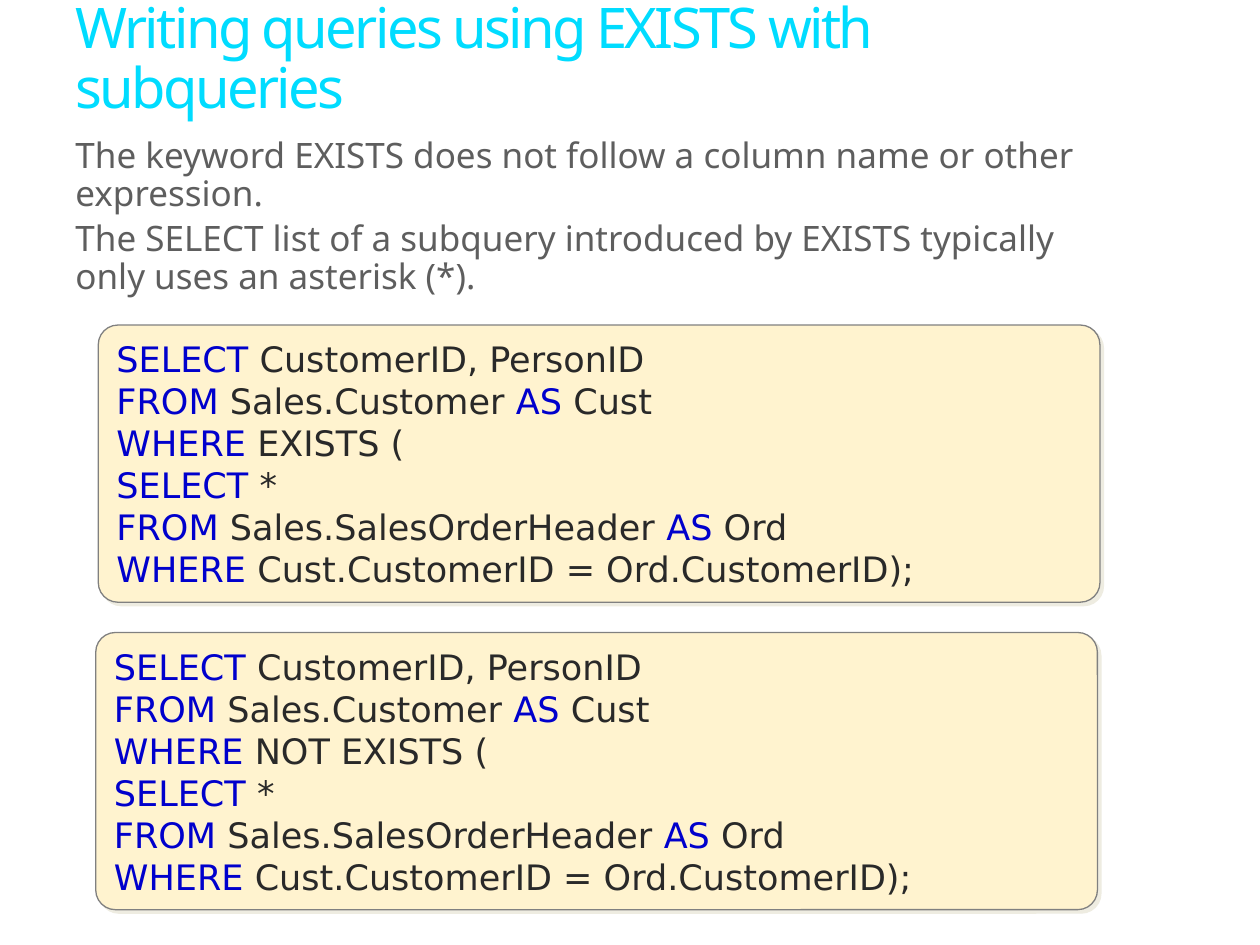
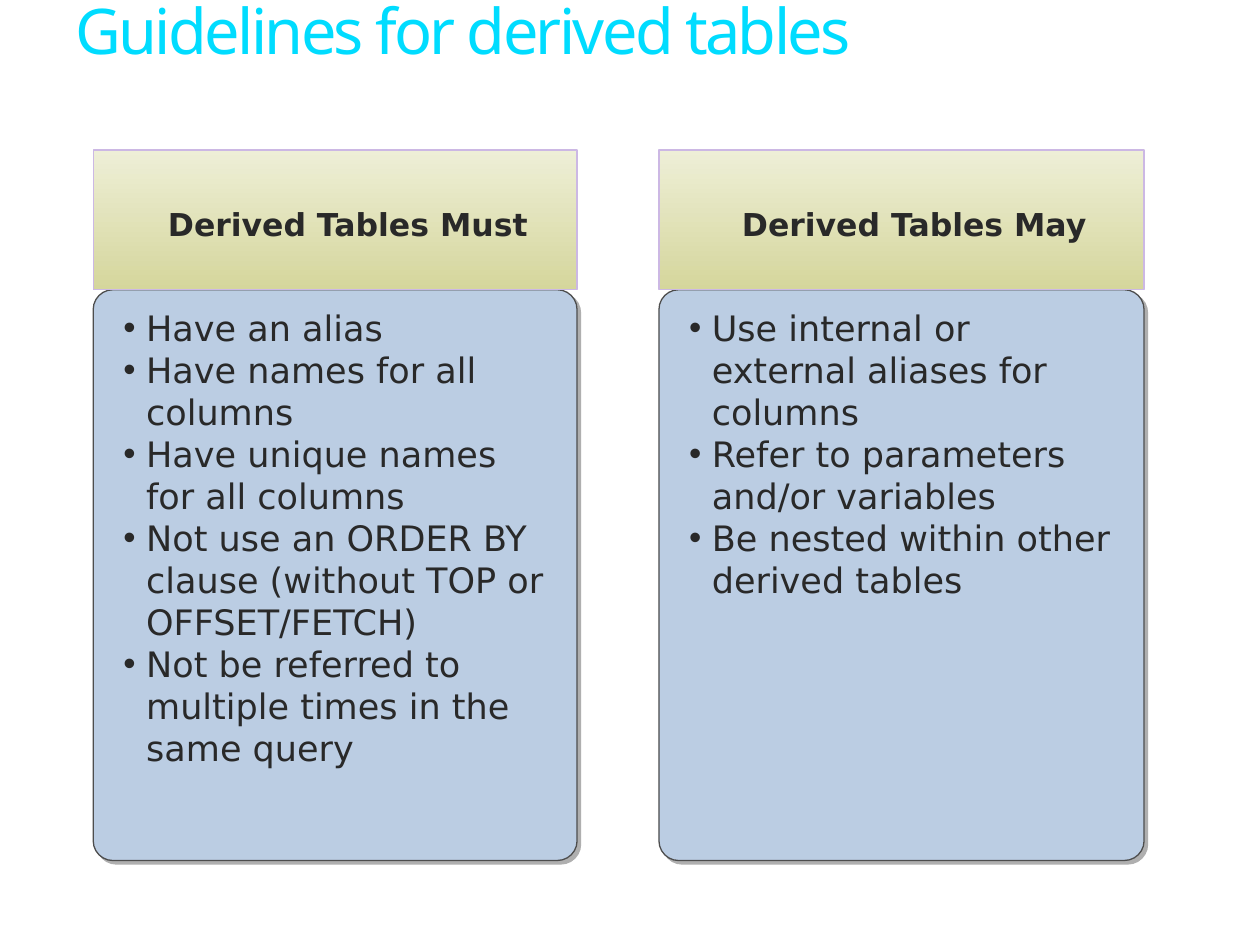
from dataclasses import dataclass

from lxml import etree
from pptx import Presentation
from pptx import util as u
from pptx.dml.color import RGBColor
from pptx.enum import shapes, text
from pptx.oxml import ns


@dataclass(frozen=True)
class Theme:
    heading_font: str = "Noto Sans"
    body_font: str = "DejaVu Sans"
    title: str = "00DCFF"
    body: str = "5E5E5E"
    ink: str = "292929"
    keyword: str = "0000CC"
    code_fill: str = "FFF3CF"
    code_line: str = "808080"
    code_shadow: str = "EEECE1"
    panel_fill: str = "BBCDE3"
    panel_line: str = "4D4D4D"
    panel_shadow: str = "AFAFAF"
    header_top: str = "EEEFD7"
    header_bottom: str = "D5D69C"
    header_line: str = "CCB8E4"
    text_size: int = 20
    header_size: int = 18


T = Theme()
KEYWORDS = {"SELECT", "FROM", "WHERE", "AS"}
RADIUS = 0.156  # corner radius of every rounded box, inches

QUERY = """SELECT CustomerID, PersonID
FROM Sales.Customer AS Cust
WHERE {test} (
SELECT *
FROM Sales.SalesOrderHeader AS Ord
WHERE Cust.CustomerID = Ord.CustomerID);"""


def rgb(color):
    return RGBColor.from_string(color)


def write(sp, paragraphs, size=T.text_size, font=T.body_font, color=T.ink,
          bold=False, align=text.PP_ALIGN.LEFT, anchor=text.MSO_ANCHOR.TOP,
          insets=(0.1, 0.05, 0.1, 0.05), line=None, before=None,
          tracking=None, bullet=None, hang=0.18):
    """Fill a shape; a paragraph is a string or a list of (text, color) runs."""
    tf = sp.text_frame
    tf.word_wrap = True
    tf.vertical_anchor = anchor
    (tf.margin_left, tf.margin_top,
     tf.margin_right, tf.margin_bottom) = map(u.Inches, insets)
    for i, runs in enumerate(paragraphs):
        p = tf.add_paragraph() if i else tf.paragraphs[0]
        p.alignment = align
        if line:
            p.line_spacing = line
        if before:
            p.space_before = u.Pt(before)
        if bullet:
            ppr = p._p.get_or_add_pPr()
            ppr.set("marL", str(u.Inches(hang)))
            ppr.set("indent", str(-u.Inches(hang)))
            etree.SubElement(ppr, ns.qn("a:buFont")).set("typeface", "Arial")
            etree.SubElement(ppr, ns.qn("a:buChar")).set("char", bullet)
        for words, tint in [(runs, color)] if isinstance(runs, str) else runs:
            r = p.add_run()
            r.text = words
            r.font.size, r.font.name, r.font.bold = u.Pt(size), font, bold
            r.font.color.rgb = rgb(tint)
            if tracking:
                r._r.get_or_add_rPr().set("spc", str(int(tracking * 100)))


def textbox(parent, box, paragraphs, **fmt):
    sp = parent.add_textbox(*map(u.Inches, box))
    write(sp, paragraphs, **fmt)


def shape(parent, kind, box, line):
    sp = parent.add_shape(kind, *map(u.Inches, box))
    sp.shadow.inherit = False
    sp.line.color.rgb = rgb(line)
    sp.line.width = u.Pt(0.75)
    return sp


def rounded_box(parent, box, fill, line, shadow):
    sp = shape(parent, shapes.MSO_SHAPE.ROUNDED_RECTANGLE, box, line)
    sp.adjustments[0] = RADIUS / min(box[2:])
    sp.fill.solid()
    sp.fill.fore_color.rgb = rgb(fill)
    # Hard shadow, down and to the right
    effects = sp._element.spPr.find(ns.qn("a:effectLst"))
    outer = etree.SubElement(effects, ns.qn("a:outerShdw"), blurRad="0",
                             dist=str(u.Pt(2.8)), dir=str(45 * 60000),
                             algn="ctr", rotWithShape="0")
    etree.SubElement(outer, ns.qn("a:srgbClr")).set("val", shadow)
    return sp


def title(s, words, size):
    textbox(s.shapes, (0.5, 0, 8.5, 0.81), [words], size=size,
            font=T.heading_font, color=T.title, line=0.9, tracking=-1.5,
            insets=(0.1, 0, 0.1, 0))


def highlight(code_line):
    """Split a line of SQL into runs, with keywords in their own colour."""
    words = code_line.split(" ")
    return [(w + (" " if i < len(words) - 1 else ""),
             T.keyword if w in KEYWORDS else T.ink)
            for i, w in enumerate(words)]


def code_box(s, left, top, code):
    sp = rounded_box(s.shapes, (left, top, 7.95, 2.2),
                     T.code_fill, T.code_line, T.code_shadow)
    write(sp, [highlight(row) for row in code.splitlines()],
          anchor=text.MSO_ANCHOR.MIDDLE)


def guideline_column(s, left, width, heading, items):
    group = s.shapes.add_group_shape().shapes
    top, header_height = 1.19, 1.11
    panel_top = top + header_height
    rounded_box(group, (left, panel_top, width, 4.53),
                T.panel_fill, T.panel_line, T.panel_shadow)
    # Header band with a vertical gradient
    header = shape(group, shapes.MSO_SHAPE.RECTANGLE,
                   (left, top, width, header_height), T.header_line)
    header.fill.gradient()
    header.fill.gradient_angle = 270
    for stop, color in zip(header.fill.gradient_stops,
                           (T.header_top, T.header_bottom)):
        stop.color.rgb = rgb(color)
    write(header, [heading], size=T.header_size, bold=True,
          align=text.PP_ALIGN.CENTER, anchor=text.MSO_ANCHOR.MIDDLE,
          insets=(0.3, 0.12, 0.1, 0.05))
    textbox(group, (left + 0.24, panel_top + 0.13, width - 0.42, 4.16), items,
            bullet="•", insets=(0, 0, 0, 0))


def exists_slide(s):
    title(s, "Writing queries using EXISTS with subqueries", 32)
    textbox(s.shapes, (0.5, 1.07, 8.48, 1.45), [
        "The keyword EXISTS does not follow a column name or other expression.",
        "The SELECT list of a subquery introduced by EXISTS typically only "
        "uses an asterisk (*).",
    ], font=T.heading_font, color=T.body, line=0.9, before=4,
        insets=(0.1, 0.03, 0.1, 0.03))
    code_box(s, 0.78, 2.58, QUERY.format(test="EXISTS"))
    code_box(s, 0.76, 5.02, QUERY.format(test="NOT EXISTS"))


def guidelines_slide(s):
    title(s, "Guidelines for derived tables", 36)
    guideline_column(s, 0.74, 3.84, "Derived Tables Must", [
        "Have an alias",
        "Have names for all columns",
        "Have unique names for all columns",
        "Not use an ORDER BY clause (without TOP or OFFSET/FETCH)",
        "Not be referred to multiple times in the same query",
    ])
    guideline_column(s, 5.23, 3.85, "Derived Tables May", [
        "Use internal or external aliases for columns",
        "Refer to parameters and/or variables",
        "Be nested within other derived tables",
    ])


def main():
    prs = Presentation()
    prs.slide_width, prs.slide_height = u.Inches(10), u.Inches(7.5)
    blank = prs.slide_layouts[6]
    for build in (exists_slide, guidelines_slide):
        build(prs.slides.add_slide(blank))
    prs.save("out.pptx")


main()
